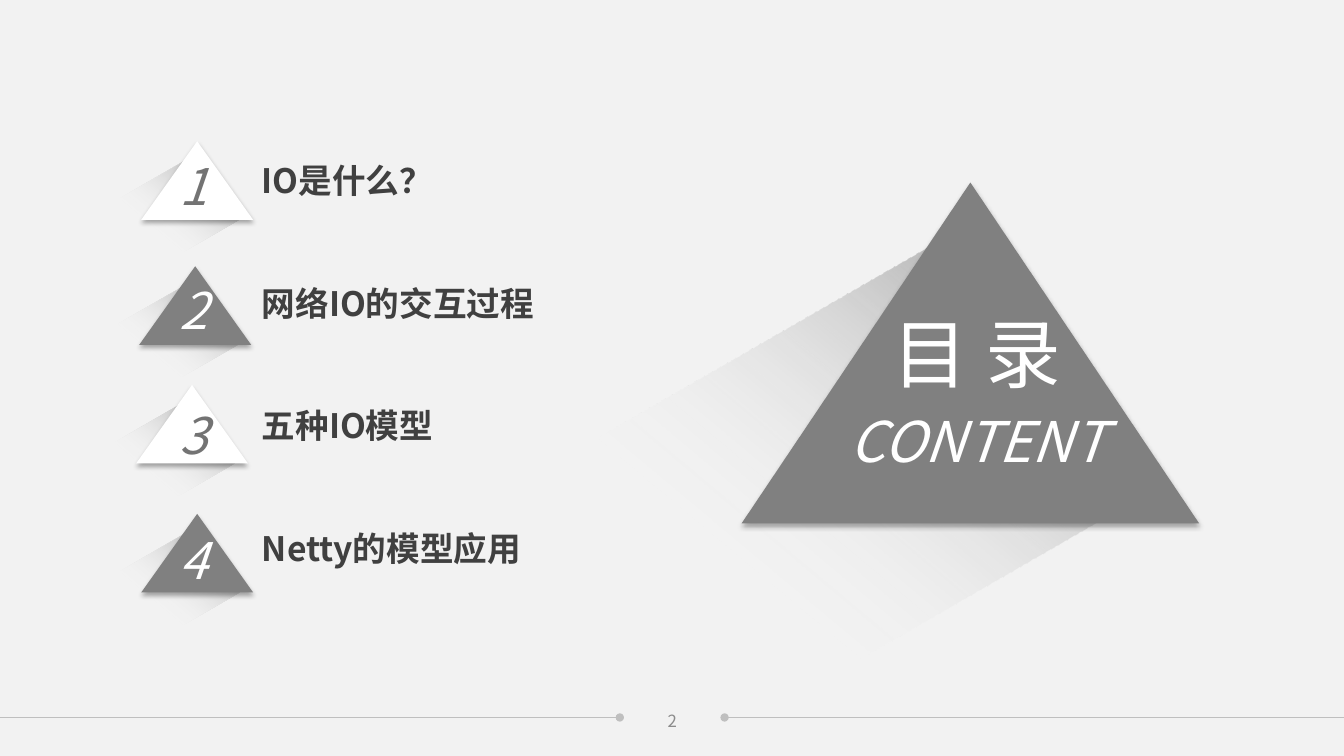
from lxml.etree import SubElement
from pptx import Presentation
from pptx.dml.color import RGBColor
from pptx.enum.shapes import MSO_CONNECTOR, MSO_SHAPE
from pptx.enum.text import MSO_ANCHOR, PP_ALIGN
from pptx.oxml import parse_xml
from pptx.oxml.ns import nsdecls, qn
from pptx.util import Cm, Pt

FONT = "Noto Sans CJK SC"
COLORS = {
    "background": "F2F2F2",
    "gray": "808080",
    "white": "FFFFFF",
    "label": "404040",
    "rule": "BFBFBF",
    "page": "8C8C8C",
    "digit_dark": "575757",
    "digit_mid": "737373",
    "digit_light": "7E7E7E",
}


def set_gradient(fill, parent, stops, angle):
    """Give parent a linear gradient of (percent, color, opacity) stops."""
    fill.background()
    gs = "".join(
        f'<a:gs pos="{pos * 1000}"><a:srgbClr val="{COLORS[color]}">'
        f'<a:alpha val="{opacity * 1000}"/></a:srgbClr></a:gs>'
        for pos, color, opacity in stops)
    gradient = parse_xml(
        f'<a:gradFill {nsdecls("a")} rotWithShape="1"><a:gsLst>{gs}</a:gsLst>'
        f'<a:lin ang="{angle * 60000}" scaled="0"/></a:gradFill>')
    parent.replace(parent.find(qn("a:noFill")), gradient)


def add_text(text, left, top, width, height, size, color,
             bold=False, italic=False, align=PP_ALIGN.CENTER):
    """Add a one-paragraph text box and return its text frame."""
    sp = slide.shapes.add_textbox(Cm(left), Cm(top), Cm(width), Cm(height))
    tf = sp.text_frame
    tf.word_wrap = True
    p = tf.paragraphs[0]
    p.text = text
    p.alignment = align
    font = p.runs[0].font
    font.name, font.size = FONT, Pt(size)
    font.bold, font.italic = bold, italic
    font.color.rgb = RGBColor.from_string(COLORS[color])
    SubElement(font._element, qn("a:ea"), typeface=FONT)
    return tf


prs = Presentation()
prs.slide_width, prs.slide_height = Cm(33.87), Cm(19.05)
slide = prs.slides.add_slide(prs.slide_layouts[6])
slide.background.fill.solid()
slide.background.fill.fore_color.rgb = RGBColor.from_string(COLORS["background"])

# Footer rules with a dot at the inner end
for start, end, dot in [(0, 15.62, "tailEnd"), (18.26, 33.87, "headEnd")]:
    rule = slide.shapes.add_connector(
        MSO_CONNECTOR.STRAIGHT, Cm(start), Cm(18.08), Cm(end), Cm(18.08))
    rule.line.color.rgb = RGBColor.from_string(COLORS["rule"])
    rule.line.width = Pt(0.5)
    SubElement(rule.line._get_or_add_ln(), qn(f"a:{dot}"), type="oval")
    SubElement(rule._element.spPr, qn("a:effectLst"))

# Triangles, each over a long fading shadow: triangle box, shadow box, color
small, small_shadow = (2.82, 1.98), (-0.5, 0.81, 2.67, 1.96)
triangles = [
    (3.56, 3.56, small, small_shadow, "white"),
    (3.51, 6.71, small, small_shadow, "gray"),
    (3.43, 9.7, small, small_shadow, "white"),
    (3.56, 12.95, small, small_shadow, "gray"),
    (18.69, 4.6, (11.53, 8.59), (-4.36, 3.63, 13.31, 8.13), "gray"),
]
for left, top, (width, height), (dx, dy, long, deep), color in triangles:
    group = slide.shapes.add_group_shape()
    fade = group.shapes.add_shape(
        MSO_SHAPE.RECTANGLE, Cm(left + dx), Cm(top + dy), Cm(long), Cm(deep))
    fade.rotation = 330
    fade.shadow.inherit = False
    fade.line.fill.background()
    set_gradient(fade.fill, fade._element.spPr,
                 [(0, "gray", 100), (64, "background", 0)], 160)

    triangle = group.shapes.add_shape(
        MSO_SHAPE.ISOSCELES_TRIANGLE, Cm(left), Cm(top), Cm(width), Cm(height))
    triangle.fill.solid()
    triangle.fill.fore_color.rgb = RGBColor.from_string(COLORS[color])
    triangle.line.fill.background()
    triangle._element.spPr.append(parse_xml(
        f'<a:effectLst {nsdecls("a")}><a:outerShdw blurRad="{Pt(3.5)}" '
        f'dist="{Pt(2.2)}" dir="5400000" algn="t" rotWithShape="0">'
        '<a:srgbClr val="000000"><a:alpha val="32000"/></a:srgbClr>'
        '</a:outerShdw></a:effectLst>'))

# Agenda entries
entries = [("IO是什么？", 4.88), ("网络IO的交互过程", 7.42),
           ("五种IO模型", 4.88), ("Netty的模型应用", 7.14)]
for i, (label, width) in enumerate(entries):
    add_text(label, 6.35, 3.91 + 3.09 * i, width, 1.27, 24, "label",
             bold=True, align=PP_ALIGN.LEFT)
    tf = add_text(str(i + 1), 4.24, 3.78 + 3.14 * i, 1.27, 1.8, 36, "white",
                  italic=True)
    if i % 2 == 0:
        font = tf.paragraphs[0].runs[0].font
        set_gradient(font.fill, font._element,
                     [(0, "digit_dark", 100), (53, "digit_mid", 100),
                      (100, "digit_light", 100)], 315)

# Title and page number
add_text("CONTENT", 20.93, 10.11, 7.42, 1.96, 40, "white", italic=True)
add_text("目 录", 22.1, 7.62, 5.03, 2.57, 54, "white")
page = add_text("2", 15.62, 17.65, 2.64, 1.02, 12, "page")
page.vertical_anchor = MSO_ANCHOR.MIDDLE

prs.save("out.pptx")
